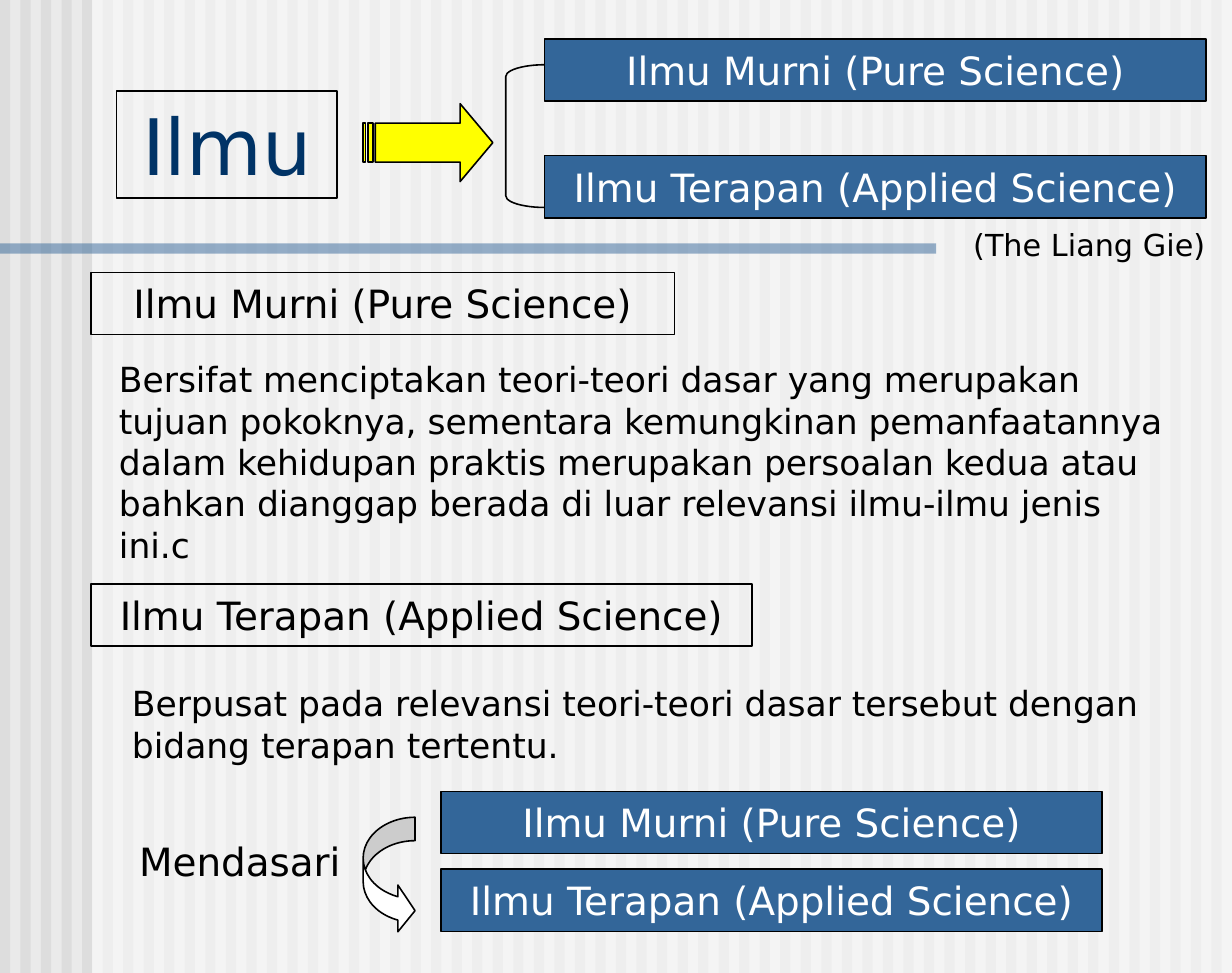
"""Build the slide on pure and applied science on a grid of 95 columns by 75 rows."""
import pptx
import pptx.util
import pptx.dml.color
import pptx.enum.shapes
import pptx.enum.text
import pptx.oxml

COLORS = {"ground": "EAEAEA", "stripe": "DDDDDD", "white": "FFFFFF", "blue": "336699",
          "navy": "003366", "black": "000000", "yellow": "FFFF00"}
COLUMNS, ROWS, STRIPES = 95, 75, 60
BAR_HEIGHT = 4.8
PURE = "Ilmu Murni (Pure Science)"
APPLIED = "Ilmu Terapan (Applied Science)"
UNIT = pptx.util.Inches(1) / 12
SHAPE = pptx.enum.shapes.MSO_SHAPE
ALIGN = pptx.enum.text.PP_ALIGN
ANCHOR = pptx.enum.text.MSO_ANCHOR

deck = pptx.Presentation()
deck.slide_width, deck.slide_height = int(COLUMNS * UNIT), int(ROWS * UNIT)
slide = deck.slides.add_slide(deck.slide_layouts[6])
ground = slide.background.fill
ground.solid()
ground.fore_color.rgb = pptx.dml.color.RGBColor.from_string(COLORS["ground"])


def draw(kind, cell, fill=None, line=None, alpha=None, adjust=()):
    shape = slide.shapes.add_shape(kind, *(int(n * UNIT) for n in cell))
    shape.shadow.inherit = False
    for part, color in ((shape.fill, fill), (shape.line.fill, line)):
        if color:
            part.solid()
            part.fore_color.rgb = pptx.dml.color.RGBColor.from_string(COLORS[color])
        else:
            part.background()
    if line:
        shape.line.width = pptx.util.Pt(0.75)
    if alpha:
        tint = shape.fill._xPr.find(".//" + pptx.oxml.ns.qn("a:srgbClr"))
        tint.append(pptx.oxml.parse_xml(
            f'<a:alpha {pptx.oxml.ns.nsdecls("a")} val="{alpha * 1000}"/>'))
    for index, value in enumerate(adjust):
        shape.adjustments[index] = value
    return shape


def write(text, cell, size=18, color="black", align=ALIGN.CENTER, anchor=ANCHOR.TOP,
          fill=None, line=None, inset=0.1):
    if fill or line:
        frame = draw(SHAPE.RECTANGLE, cell, fill, line).text_frame
    else:
        frame = slide.shapes.add_textbox(*(int(n * UNIT) for n in cell)).text_frame
    frame.word_wrap = True
    frame.vertical_anchor = anchor
    frame.margin_left = frame.margin_right = pptx.util.Inches(inset)
    frame.margin_top = frame.margin_bottom = pptx.util.Inches(inset / 2)
    paragraph = frame.paragraphs[0]
    paragraph.alignment = align
    run = paragraph.add_run()
    run.text = text
    run.font.name = "DejaVu Sans"
    run.font.size = pptx.util.Pt(size)
    run.font.color.rgb = pptx.dml.color.RGBColor.from_string(COLORS[color])


pitch = COLUMNS / STRIPES
for stripe in range(STRIPES):
    draw(SHAPE.RECTANGLE, (stripe * pitch, 0, pitch / 2, ROWS), "stripe")
draw(SHAPE.RECTANGLE, (7.1, 0, COLUMNS - 7.1, ROWS), "white", alpha=50)
draw(SHAPE.RECTANGLE, (0, 18.75, 72.2, 0.8), "blue", alpha=50)

write("Ilmu", (9, 7, 17, 8.25), size=36, color="navy", anchor=ANCHOR.BOTTOM,
      line="black", inset=0.08)
write("(The Liang Gie)", (73, 17, 22, 5), size=14, inset=0.08)
draw(SHAPE.STRIPED_RIGHT_ARROW, (28, 8, 10, 6), "yellow", "black", adjust=(0.5, 0.42))
draw(SHAPE.LEFT_BRACKET, (39, 5, 3, 11), line="black", adjust=(0.3,))

for branch, column, row in ((PURE, 42, 3), (APPLIED, 42, 12),
                            (PURE, 34, 61), (APPLIED, 34, 67)):
    write(branch, (column, row, 51, BAR_HEIGHT), color="white", fill="blue", line="black")

for heading, row, width in ((PURE, 21, 45), (APPLIED, 45, 51)):
    write(heading, (7, row, width, BAR_HEIGHT), line="black")

write("Bersifat menciptakan teori-teori dasar yang merupakan tujuan pokoknya, sementara "
      "kemungkinan pemanfaatannya dalam kehidupan praktis merupakan persoalan kedua atau "
      "bahkan dianggap berada di luar relevansi ilmu-ilmu jenis ini.c",
      (8, 27, 84, 14), size=16, align=ALIGN.LEFT)
write("Berpusat pada relevansi teori-teori dasar tersebut dengan bidang terapan tertentu.",
      (9, 52, 84, 7.7), size=16, align=ALIGN.LEFT)
write("Mendasari", (9, 64, 19, BAR_HEIGHT))
draw(SHAPE.CURVED_RIGHT_ARROW, (28, 63, 4, 9), "white", "black", adjust=(0.45, 0.9, 0.33))

deck.save("out.pptx")
